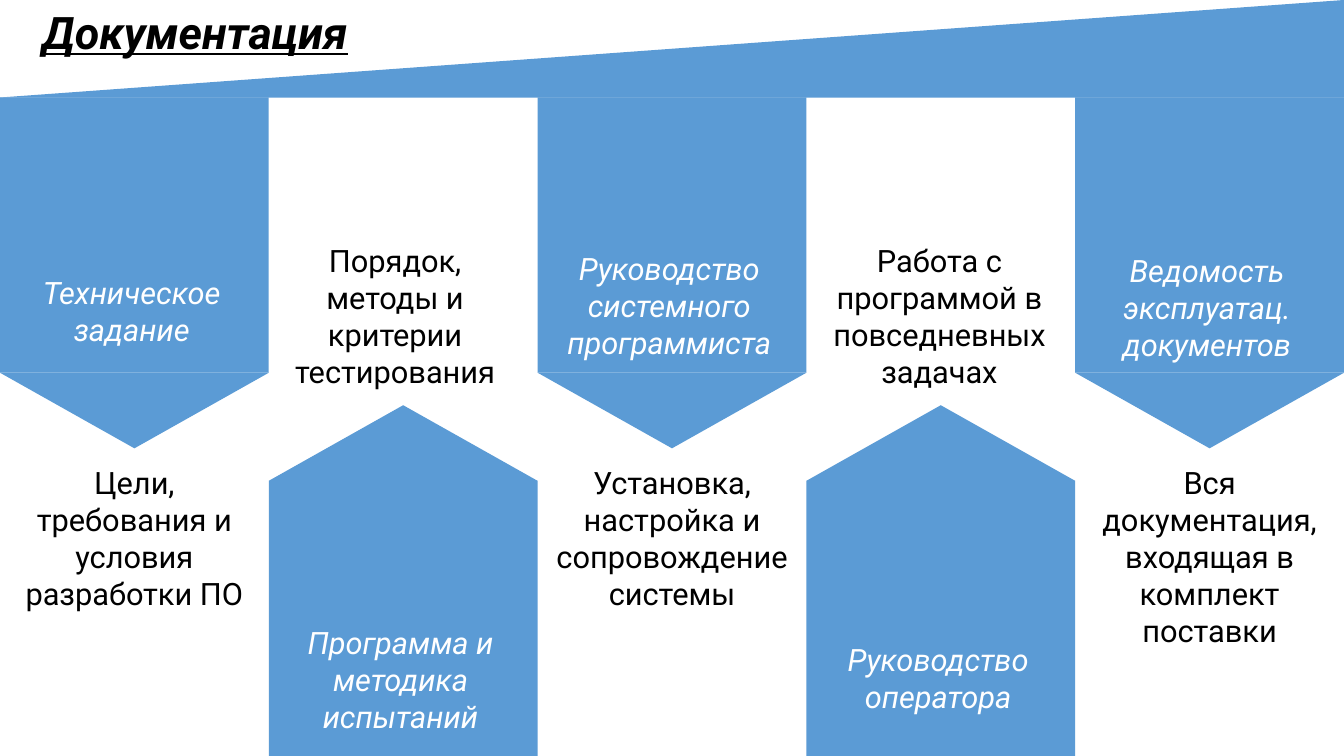
from dataclasses import dataclass

from pptx import Presentation
from pptx import util as u
from pptx.dml.color import RGBColor
from pptx.enum import shapes, text
from pptx.shapes.autoshape import Shape
from pptx.slide import Slide
from pptx.text.text import TextFrame

BLUE = RGBColor(0x5B, 0x9B, 0xD5)
WHITE = RGBColor(0xFF, 0xFF, 0xFF)
BLACK = RGBColor(0x00, 0x00, 0x00)
FONT_NAME = "Roboto"

SLIDE_WIDTH = u.Inches(13.33)
SLIDE_HEIGHT = u.Inches(7.5)
COLUMN = SLIDE_WIDTH / 5
ROW = SLIDE_HEIGHT / 10

WEDGE_HEIGHT = 1.29
BODY_HEIGHT = 3.64
TIP_HEIGHT = 1
LABEL_WIDTH = 0.98
LINE_HEIGHT = 0.5
TEXT_PADDING = 0.12


@dataclass(frozen=True)
class Area:
    left: float
    top: float
    width: float
    height: float

    def lengths(self) -> tuple[int, int, int, int]:
        return (
            round(self.left * COLUMN),
            round(self.top * ROW),
            round(self.width * COLUMN),
            round(self.height * ROW),
        )


@dataclass(frozen=True)
class Document:
    label: str
    label_top: float
    label_lines: int
    description: str
    description_left: float
    description_width: float
    description_lines: int


DOCUMENTS = [
    Document("Техническое задание", 3.56, 2,
             "Цели, требования и условия разработки ПО", 0.04, 0.92, 4),
    Document("Программа и методика испытаний", 8.19, 3,
             "Порядок, методы и критерии тестирования", 0.98, 0.98, 4),
    Document("Руководство системного программиста", 3.24, 3,
             "Установка, настройка и сопровождение системы", 1.99, 1.02, 4),
    Document("Руководство оператора", 8.41, 2,
             "Работа с программой в повседневных задачах", 2.88, 1.23, 4),
    Document("Ведомость эксплуатац. документов", 3.27, 3,
             "Вся документация, входящая в комплект поставки", 4.01, 0.98, 5),
]


def add_blue_shape(slide: Slide, kind: shapes.MSO_SHAPE, area: Area) -> Shape:
    shape = slide.shapes.add_shape(kind, *area.lengths())
    shape.shadow.inherit = False
    shape.fill.solid()
    shape.fill.fore_color.rgb = BLUE
    shape.line.fill.background()
    return shape


def write_text(
    text_frame: TextFrame,
    content: str,
    size: int,
    color: RGBColor,
    alignment: text.PP_ALIGN,
    italic: bool = False,
) -> None:
    text_frame.text = content
    text_frame.vertical_anchor = text.MSO_ANCHOR.TOP
    paragraph = text_frame.paragraphs[0]
    paragraph.alignment = alignment
    font = paragraph.runs[0].font
    font.name = FONT_NAME
    font.size = u.Pt(size)
    font.color.rgb = color
    font.italic = italic


def add_caption(
    slide: Slide, content: str, left: float, top: float, width: float,
    lines: int, color: RGBColor, italic: bool,
) -> None:
    area = Area(left, top, width, TEXT_PADDING + LINE_HEIGHT * lines)
    text_frame = slide.shapes.add_textbox(*area.lengths()).text_frame
    text_frame.word_wrap = True
    text_frame.auto_size = text.MSO_AUTO_SIZE.SHAPE_TO_FIT_TEXT
    write_text(text_frame, content, 22, color, text.PP_ALIGN.CENTER, italic)


def add_document(slide: Slide, column: int, document: Document) -> None:
    points_down = column % 2 == 0
    if points_down:
        body_top = WEDGE_HEIGHT
        tip_top = body_top + BODY_HEIGHT
        description_top = 6.07
    else:
        body_top = 10 - BODY_HEIGHT
        tip_top = body_top - TIP_HEIGHT
        description_top = 3.13
    add_blue_shape(slide, shapes.MSO_SHAPE.RECTANGLE,
                   Area(column, body_top, 1, BODY_HEIGHT))
    tip = add_blue_shape(slide, shapes.MSO_SHAPE.ISOSCELES_TRIANGLE,
                         Area(column, tip_top, 1, TIP_HEIGHT))
    tip.rotation = 180 if points_down else 0
    add_caption(slide, document.label, column, document.label_top, LABEL_WIDTH,
                document.label_lines, WHITE, True)
    add_caption(slide, document.description, document.description_left,
                description_top, document.description_width,
                document.description_lines, BLACK, False)


def add_title(slide: Slide) -> None:
    title = slide.shapes.title
    area = Area(0.12, 0, 1.29, 0.85)
    title.left, title.top, title.width, title.height = area.lengths()
    text_frame = title.text_frame
    text_frame.word_wrap = False
    text_frame.auto_size = text.MSO_AUTO_SIZE.SHAPE_TO_FIT_TEXT
    write_text(text_frame, "Документация", 32, BLACK, text.PP_ALIGN.LEFT, True)
    font = text_frame.paragraphs[0].runs[0].font
    font.bold = True
    font.underline = True


def main() -> None:
    presentation = Presentation()
    presentation.slide_width = SLIDE_WIDTH
    presentation.slide_height = SLIDE_HEIGHT
    slide = presentation.slides.add_slide(presentation.slide_layouts[5])
    add_title(slide)
    wedge = add_blue_shape(slide, shapes.MSO_SHAPE.RIGHT_TRIANGLE,
                           Area(0, 0, len(DOCUMENTS), WEDGE_HEIGHT))
    wedge.element.spPr.xfrm.set("flipH", "1")
    for column, document in enumerate(DOCUMENTS):
        add_document(slide, column, document)
    presentation.save("out.pptx")


if __name__ == "__main__":
    main()
